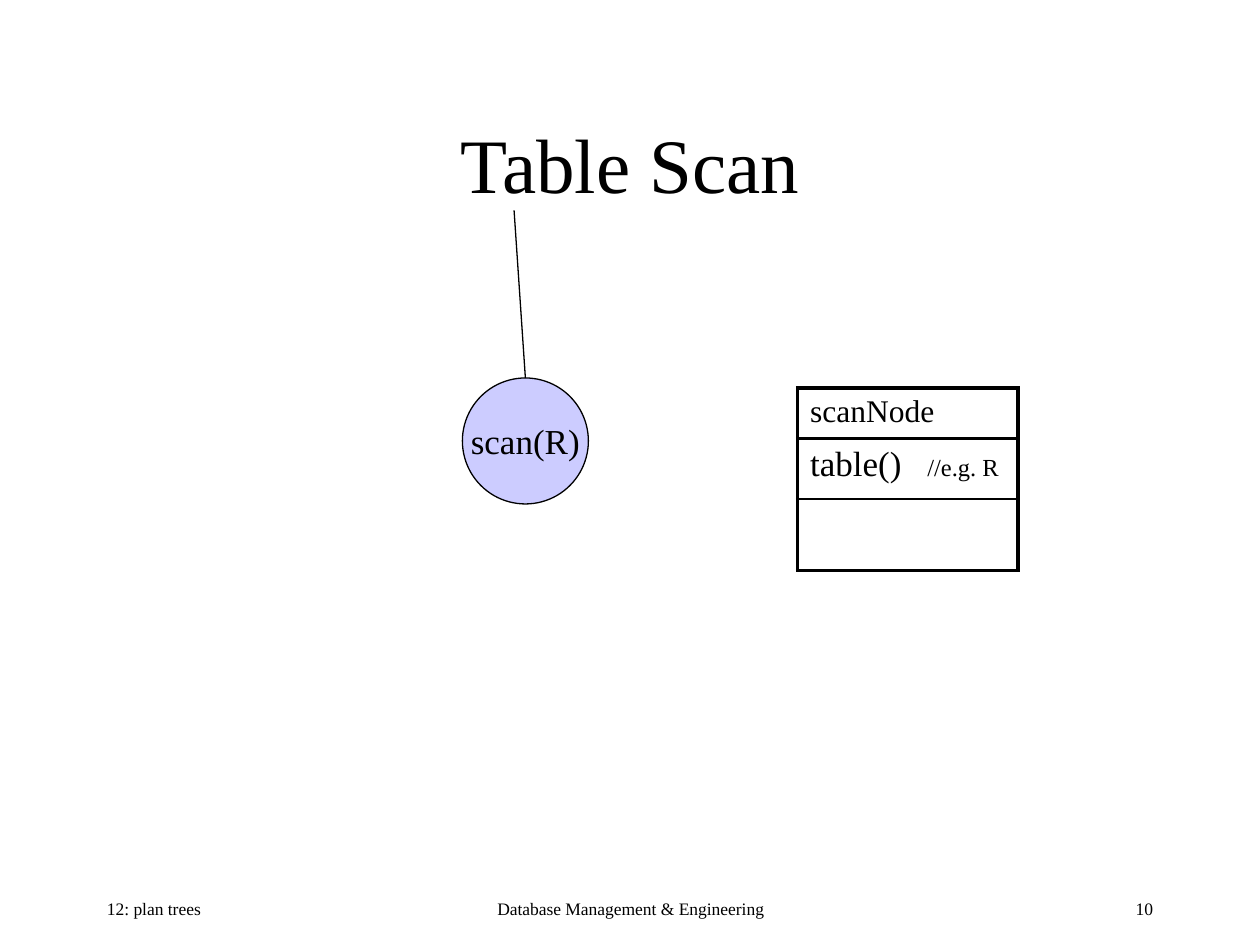
"""Builds the Table Scan slide: a plan tree node and its class box."""
import pptx
import pptx.dml.color
import pptx.enum.shapes
import pptx.enum.text
import pptx.oxml
import pptx.oxml.ns
import pptx.util
from lxml import etree

Inches, Pt = pptx.util.Inches, pptx.util.Pt
ALIGN = pptx.enum.text.PP_ALIGN
MIDDLE = pptx.enum.text.MSO_ANCHOR.MIDDLE
COLORS = {"ink": "000000", "node": "CCCCFF"}
FONT = "Times New Roman"
INK = pptx.dml.color.RGBColor.from_string(COLORS["ink"])


def style(p, size, align=ALIGN.LEFT):
    p.alignment = align
    p.font.name, p.font.size = FONT, Pt(size)
    p.font.color.rgb = INK


def border(cell, side, width):
    ln = etree.SubElement(cell._tc.get_or_add_tcPr(), pptx.oxml.ns.qn("a:" + side), w=str(Pt(width)))
    fill = etree.SubElement(ln, pptx.oxml.ns.qn("a:solidFill"))
    etree.SubElement(fill, pptx.oxml.ns.qn("a:srgbClr"), val=COLORS["ink"])


prs = pptx.Presentation()
prs.slide_width, prs.slide_height = Inches(10), Inches(7.5)
s = prs.slides.add_slide(prs.slide_layouts[5])

title = s.shapes.title
title.left, title.top, title.width, title.height = map(Inches, (0.75, 0.67, 8.5, 1.25))
title.text_frame.text = "Table Scan"
title.text_frame.vertical_anchor = MIDDLE
style(title.text_frame.paragraphs[0], 44, ALIGN.CENTER)

footers = [
    ("12: plan trees", 0.75, 2.08, ALIGN.LEFT),
    ("Database Management & Engineering", 3.42, 3.17, ALIGN.CENTER),
    ("10", 7.17, 2.08, ALIGN.RIGHT),
]
for text, left, width, align in footers:
    tf = s.shapes.add_textbox(Inches(left), Inches(7.08), Inches(width), Inches(0.25)).text_frame
    tf.word_wrap = True
    tf.text = text
    style(tf.paragraphs[0], 10, align)

row_heights = [0.4, 0.48, 0.57]
table = s.shapes.add_table(3, 1, Inches(6.33), Inches(3.08), Inches(1.75), Inches(sum(row_heights))).table
table.first_row = table.horz_banding = False
rules = [2.25, 2.25, 1, 2.25]
contents = [[("scanNode", 18)], [("table()\t", 20), ("//e.g. R", 14)], []]
for i, (height, runs) in enumerate(zip(row_heights, contents)):
    table.rows[i].height = Inches(height)
    cell = table.cell(i, 0)
    for side, width in zip(("lnL", "lnR", "lnT", "lnB"), (2.25, 2.25, rules[i], rules[i + 1])):
        border(cell, side, width)
    cell.fill.background()
    p = cell.text_frame.paragraphs[0]
    style(p, 18)
    p.space_before = Pt(4)
    for text, size in runs:
        r = p.add_run()
        r.text = text
        r.font.size = Pt(size)

pPr = table.cell(1, 0).text_frame.paragraphs[0]._p.get_or_add_pPr()
tabs = etree.Element(pptx.oxml.ns.qn("a:tabLst"))
etree.SubElement(tabs, pptx.oxml.ns.qn("a:tab"), pos=str(Inches(0.93)), algn="l")
pPr.find(pptx.oxml.ns.qn("a:defRPr")).addprevious(tabs)

node = s.shapes.add_shape(pptx.enum.shapes.MSO_SHAPE.OVAL, Inches(3.67), Inches(3), Inches(1), Inches(1))
node.shadow.inherit = False
node.fill.solid()
node.fill.fore_color.rgb = pptx.dml.color.RGBColor.from_string(COLORS["node"])
node.line.color.rgb = INK
node.line.width = Pt(0.75)
tf = node.text_frame
tf.text = "scan(R)"
tf.word_wrap = False
tf.vertical_anchor = MIDDLE
style(tf.paragraphs[0], 20, ALIGN.CENTER)

edge = s.shapes.add_connector(
    pptx.enum.shapes.MSO_CONNECTOR.STRAIGHT, Inches(4.17), Inches(3), Inches(4.08), Inches(1.67))
edge.line.color.rgb = INK
edge.line.width = Pt(0.75)
etree.SubElement(edge._element.spPr, pptx.oxml.ns.qn("a:effectLst"))

prs.save("out.pptx")
